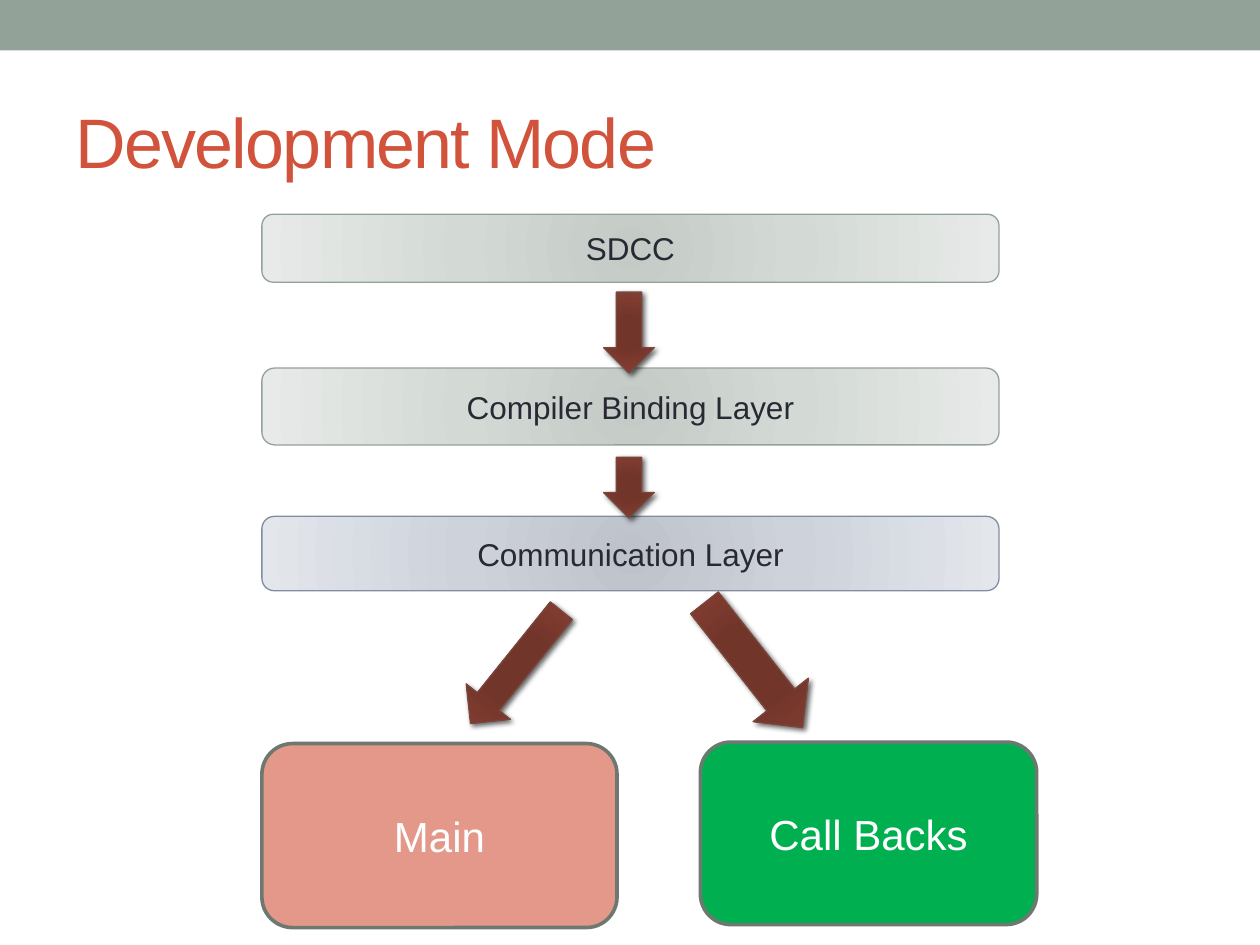
"""Build the Development Mode layer diagram slide."""
from dataclasses import dataclass

from lxml import etree
from pptx import Presentation
from pptx.dml.color import RGBColor
from pptx.enum.shapes import MSO_SHAPE
from pptx.enum.text import MSO_ANCHOR, PP_ALIGN
from pptx.oxml.ns import qn
from pptx.util import Cm, Pt

RECTANGLE = MSO_SHAPE.RECTANGLE
ROUNDED = MSO_SHAPE.ROUNDED_RECTANGLE
DOWN_ARROW = MSO_SHAPE.DOWN_ARROW
LEFT, CENTER = PP_ALIGN.LEFT, PP_ALIGN.CENTER
MIDDLE = MSO_ANCHOR.MIDDLE

FONT = "Arial"
WHITE = RGBColor(0xFF, 0xFF, 0xFF)
BLACK = RGBColor(0x00, 0x00, 0x00)
INK = RGBColor(0x29, 0x29, 0x34)
RED = RGBColor(0xD2, 0x53, 0x3C)
SAGE = RGBColor(0x93, 0xA2, 0x99)
DARK_SAGE = RGBColor(0x6D, 0x78, 0x71)
SLATE = RGBColor(0x80, 0x8D, 0xA0)
SALMON = RGBColor(0xE4, 0x98, 0x8A)
GREEN = RGBColor(0x00, 0xB0, 0x50)
BROWN = RGBColor(0x79, 0x46, 0x3D)

Gradient = tuple[tuple[int, RGBColor], ...]
SAGE_GRADIENT: Gradient = (
    (0, RGBColor(0xC4, 0xCA, 0xC6)),
    (45, RGBColor(0xD3, 0xDA, 0xD6)),
    (100, RGBColor(0xE7, 0xEA, 0xE8)),
)
SLATE_GRADIENT: Gradient = (
    (0, RGBColor(0xBE, 0xC3, 0xCB)),
    (45, RGBColor(0xCD, 0xD2, 0xDB)),
    (100, RGBColor(0xE3, 0xE6, 0xEB)),
)
BROWN_GRADIENT: Gradient = (
    (0, RGBColor(0x74, 0x33, 0x27)),
    (34, RGBColor(0x72, 0x35, 0x2A)),
    (70, RGBColor(0x7F, 0x3B, 0x2F)),
    (100, BROWN),
)

COLUMN_LEFT = 5.28
LAYER_WIDTH = 14.86


@dataclass(frozen=True)
class Layer:
    text: str
    top: float
    height: float
    gradient: Gradient
    line: RGBColor


@dataclass(frozen=True)
class Target:
    text: str
    left: float
    top: float
    width: float
    height: float
    fill: RGBColor


@dataclass(frozen=True)
class Arrow:
    left: float
    top: float
    width: float
    height: float
    rotation: float = 0


LAYERS = (
    Layer("SDCC", 4.32, 1.37, SAGE_GRADIENT, SAGE),
    Layer("Compiler Binding Layer", 7.42, 1.55, SAGE_GRADIENT, SAGE),
    Layer("Communication Layer", 10.41, 1.5, SLATE_GRADIENT, SLATE),
)
TARGETS = (
    Target("Main", COLUMN_LEFT, 14.99, 7.16, 3.71, SALMON),
    Target("Call Backs", 14.12, 14.96, 6.78, 3.68, GREEN),
)
ARROWS = (
    Arrow(12.17, 5.89, 1.02, 1.63),
    Arrow(12.17, 9.22, 1.02, 1.22),
    Arrow(9.83, 11.99, 1.14, 2.92, 38.8),
    Arrow(14.48, 11.81, 1.42, 3.2, 321.8),
)


def add_shape(page, kind, left: float, top: float, width: float, height: float,
              *, fill: RGBColor | Gradient, line: RGBColor | None = None,
              line_width: float = 0.75):
    """Add a preset shape with a solid or radial fill."""
    shape = page.shapes.add_shape(kind, Cm(left), Cm(top), Cm(width), Cm(height))
    shape.shadow.inherit = False
    if isinstance(fill, RGBColor):
        shape.fill.solid()
        shape.fill.fore_color.rgb = fill
    else:
        set_radial_fill(shape, fill)
    if line is None:
        shape.line.fill.background()
    else:
        shape.line.color.rgb = line
        shape.line.width = Pt(line_width)
    return shape


def add_color(parent, color: RGBColor):
    """Append an RGB colour element."""
    return etree.SubElement(parent, qn("a:srgbClr"), val=str(color))


def set_radial_fill(shape, gradient: Gradient) -> None:
    """Fill a shape with a circular gradient."""
    shape.fill.background()
    properties = shape._element.spPr
    blank = properties.find(qn("a:noFill"))
    radial = etree.Element(qn("a:gradFill"), rotWithShape="1")
    stops = etree.SubElement(radial, qn("a:gsLst"))
    for percent, color in gradient:
        stop = etree.SubElement(stops, qn("a:gs"), pos=str(percent * 1000))
        add_color(stop, color)
    circle = etree.SubElement(radial, qn("a:path"), path="circle")
    edges = dict.fromkeys("ltrb", "100000")
    etree.SubElement(circle, qn("a:fillToRect"), edges)
    properties.replace(blank, radial)


def add_shadow(shape) -> None:
    """Cast a soft shadow to the lower right."""
    effects = shape._element.spPr.find(qn("a:effectLst"))
    shadow = etree.SubElement(
        effects, qn("a:outerShdw"), blurRad=str(Pt(3)), dist=str(Pt(2)),
        dir=str(45 * 60000), rotWithShape="0")
    color = add_color(shadow, BLACK)
    etree.SubElement(color, qn("a:alpha"), val="60000")


def write_text(shape, text: str, *, size: float, color: RGBColor,
               align=CENTER, spacing: float = 0) -> None:
    """Write one formatted line of text into a shape."""
    frame = shape.text_frame
    frame.word_wrap = True
    frame.vertical_anchor = MIDDLE
    para = frame.paragraphs[0]
    para.alignment = align
    span = para.add_run()
    span.text = text
    span.font.name = FONT
    span.font.size = Pt(size)
    span.font.color.rgb = color
    if spacing:
        span.font._element.set("spc", str(round(spacing * 100)))


def draw_layer(page, layer: Layer) -> None:
    """Draw one wide layer box."""
    box = add_shape(page, ROUNDED, COLUMN_LEFT, layer.top, LAYER_WIDTH, layer.height,
                    fill=layer.gradient, line=layer.line)
    write_text(box, layer.text, size=18, color=INK)


def draw_target(page, target: Target) -> None:
    """Draw one large box at the foot of the diagram."""
    box = add_shape(page, ROUNDED, target.left, target.top, target.width, target.height,
                    fill=target.fill, line=DARK_SAGE, line_width=2.08)
    write_text(box, target.text, size=24, color=WHITE)


def draw_arrow(page, arrow: Arrow) -> None:
    """Draw one block arrow."""
    shape = add_shape(page, DOWN_ARROW, arrow.left, arrow.top, arrow.width, arrow.height,
                      fill=BROWN_GRADIENT, line=BROWN)
    shape.rotation = arrow.rotation
    add_shadow(shape)


def main() -> None:
    """Assemble and save the deck."""
    deck = Presentation()
    deck.slide_width, deck.slide_height = Cm(25.4), Cm(19.05)
    page = deck.slides.add_slide(deck.slide_layouts[5])
    add_shape(page, RECTANGLE, 0, 0, 25.4, 1.02, fill=SAGE)
    title = page.shapes.title
    title.left, title.top, title.width, title.height = Cm(1.27), Cm(1.47), Cm(22.86), Cm(2.74)
    write_text(title, "Development Mode", size=40, color=RED, align=LEFT, spacing=-1)
    for target in TARGETS:
        draw_target(page, target)
    for layer in LAYERS:
        draw_layer(page, layer)
    for arrow in ARROWS:
        draw_arrow(page, arrow)
    deck.save("out.pptx")


if __name__ == "__main__":
    main()
